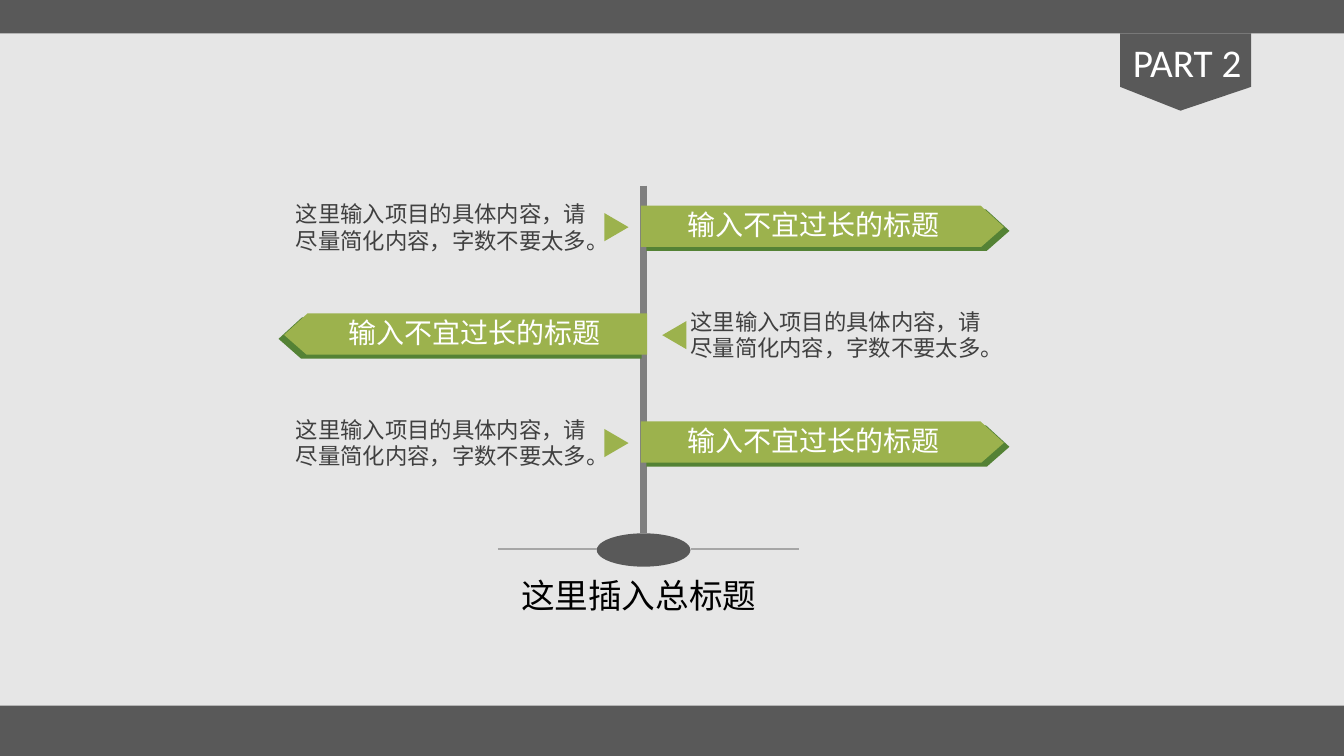
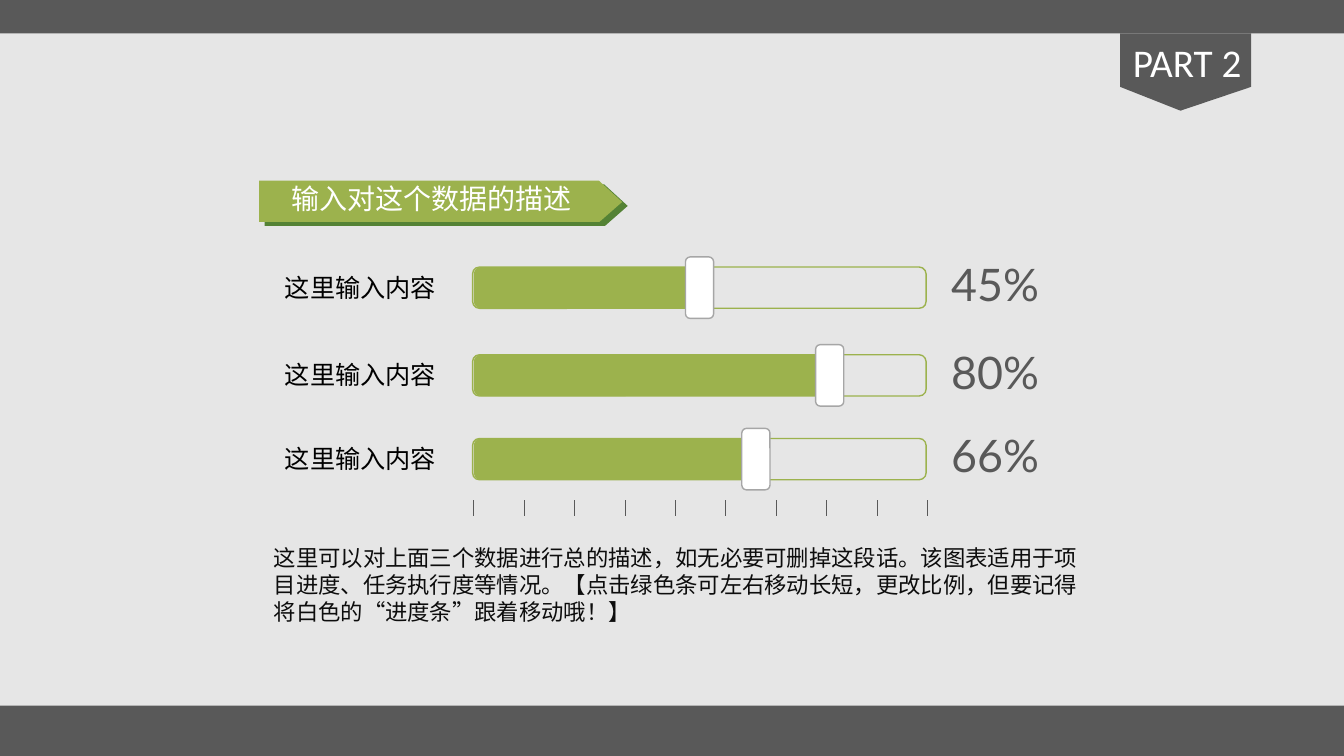
from lxml.etree import SubElement
from pptx import Presentation
from pptx.dml.color import RGBColor
from pptx.enum.shapes import MSO_CONNECTOR, MSO_SHAPE
from pptx.enum.text import PP_ALIGN
from pptx.oxml.ns import qn
from pptx.util import Cm, Pt

# All lengths are in centimetres.
PAGE_W, PAGE_H = 33.87, 19.05
COLOURS = {
    "paper": "E6E6E6", "band": "595959", "pole": "7F7F7F", "rule": "A6A6A6",
    "green": "9CB24D", "shade": "548235", "white": "FFFFFF",
    "black": "000000", "body": "404040", "note": "0D0D0D",
}
CJK = "Noto Sans CJK SC"

PART = "PART 2"
SIGN_HEADING = "输入不宜过长的标题"
SIGN_BODY = "这里输入项目的具体内容，请尽量简化内容，字数不要太多。"
SIGNS = [(side, SIGN_HEADING, SIGN_BODY) for side in ("right", "left", "right")]
SIGNPOST_TITLE = "这里插入总标题"

SLIDERS_TITLE = "输入对这个数据的描述"
# label, value, top of the bar, distance of the knob's centre from the bar's left
SLIDERS = [
    ("这里输入内容", "45%", 6.73, 5.69),
    ("这里输入内容", "80%", 8.94, 8.97),
    ("这里输入内容", "66%", 11.05, 7.11),
]
SLIDERS_NOTE = (
    "这里可以对上面三个数据进行总的描述，如无必要可删掉这段话。"
    "该图表适用于项目进度、任务执行度等情况。"
    "【点击绿色条可左右移动长短，更改比例，但要记得将白色的“进度条”跟着移动哦！】"
)

# Outlines, relative to their own corner
BADGE = [(0, 0), (3.3, 0), (3.3, 1.35), (1.52, 1.95), (0, 1.35)]
SIGN = [(0, 0), (8.56, 0), (9.15, 0.54), (8.58, 1.04), (0, 1.04)]
SHADE_X, SHADE_Y = 0.14, 0.1

# Each side: foot of the sign, direction, then left of heading, body and arrow
SIDES = {
    "right": dict(foot=16.15, way=1, heading=17.07, body=7.21, arrow=15.18, turn=90),
    "left": dict(foot=16.31, way=-1, heading=8.53, body=17.15, arrow=16.64, turn=270),
}
SIGN_TOP, SIGN_STEP = 5.18, 2.72

BAR_LEFT, BAR_W, BAR_H = 11.91, 11.43, 1.04
KNOB_W, KNOB_H = 0.71, 1.55
TICKS, TICK_TOP, TICK_H = 10, 12.6, 0.4


def colour(name):
    return RGBColor.from_string(COLOURS[name])


def paint(shape, fill=None, outline=None):
    shape.shadow.inherit = False
    if fill:
        shape.fill.solid()
        shape.fill.fore_color.rgb = colour(fill)
    else:
        shape.fill.background()
    if outline:
        shape.line.color.rgb = colour(outline)
        shape.line.width = Pt(1)
    else:
        shape.line.fill.background()


def add_box(page, kind, left, top, width, height, fill=None, outline=None):
    box = page.shapes.add_shape(kind, Cm(left), Cm(top), Cm(width), Cm(height))
    paint(box, fill, outline)
    return box


def add_outline(page, points, left, top, fill, way=1):
    """Draw a closed outline; way=-1 mirrors it about its left edge."""
    corners = [(Cm(left + way * x), Cm(top + y)) for x, y in points]
    builder = page.shapes.build_freeform(*corners[0])
    builder.add_line_segments(corners[1:], close=True)
    paint(builder.convert_to_shape(), fill)


def add_line(page, start, end, ink, width):
    ends = [Cm(value) for value in (*start, *end)]
    line = page.shapes.add_connector(MSO_CONNECTOR.STRAIGHT, *ends)
    line.line.color.rgb = colour(ink)
    line.line.width = Pt(width)
    SubElement(line._element.spPr, qn("a:effectLst"))


def add_text(page, text, left, top, width, height, *, size, ink, font=CJK,
             align=PP_ALIGN.LEFT):
    box = page.shapes.add_textbox(Cm(left), Cm(top), Cm(width), Cm(height))
    box.text_frame.word_wrap = True
    para = box.text_frame.paragraphs[0]
    para.alignment = align
    span = para.add_run()
    span.text = text
    span.font.size = Pt(size)
    span.font.color.rgb = colour(ink)
    span.font.name = font
    SubElement(span._r.get_or_add_rPr(), qn("a:ea"), typeface=font)


def add_sign(page, foot, top, way=1):
    add_outline(page, SIGN, foot + way * SHADE_X, top + SHADE_Y, "shade", way)
    add_outline(page, SIGN, foot, top, "green", way)


def add_page(deck):
    """Add a blank page with the bands and the part badge."""
    page = deck.slides.add_slide(deck.slide_layouts[6])
    page.background.fill.solid()
    page.background.fill.fore_color.rgb = colour("paper")
    for top, height in ((0, 0.84), (17.78, 1.27)):
        add_box(page, MSO_SHAPE.RECTANGLE, 0, top, PAGE_W, height, "band")
    add_outline(page, BADGE, 28.23, 0.84, "band")
    add_text(page, PART, 28.3, 0.84, 3.48, 1.45, size=28, ink="white", font="Calibri")
    return page


def build_signpost(deck):
    page = add_page(deck)
    add_box(page, MSO_SHAPE.OVAL, 15.04, 13.44, 2.36, 0.84, "band")
    add_line(page, (16.22, 4.68), (16.22, 13.44), "pole", 4.5)
    for row, (side, heading, body) in enumerate(SIGNS):
        top = SIGN_TOP + row * SIGN_STEP
        place = SIDES[side]
        add_sign(page, place["foot"], top, place["way"])
        add_text(page, heading, place["heading"], top - 0.08, 7.16, 1.12,
                 size=20, ink="white")
        add_text(page, body, place["body"], top - 0.27, 8.15, 1.63,
                 size=16, ink="body")
        arrow = add_box(page, MSO_SHAPE.ISOSCELES_TRIANGLE, place["arrow"],
                        top + 0.24, 0.71, 0.61, "green")
        arrow.rotation = place["turn"]
    for start, end in ((12.55, 15.04), (17.42, 20.14)):
        add_line(page, (start, 13.84), (end, 13.84), "rule", 1.5)
    add_text(page, SIGNPOST_TITLE, 12.12, 14.35, 7.95, 1.3,
             size=24, ink="black", align=PP_ALIGN.CENTER)


def build_sliders(deck):
    page = add_page(deck)
    pill = MSO_SHAPE.ROUNDED_RECTANGLE
    for label, value, top, reach in SLIDERS:
        add_box(page, pill, BAR_LEFT, top, BAR_W, BAR_H, outline="green")
        add_box(page, pill, BAR_LEFT + 0.03, top, reach, BAR_H, "green")
        add_box(page, pill, BAR_LEFT + reach - KNOB_W / 2 + 0.03,
                top - (KNOB_H - BAR_H) / 2, KNOB_W, KNOB_H, "white", "rule")
        add_text(page, label, 6.93, top, 4.6, 1.02, size=18, ink="black")
        add_text(page, value, 23.72, top - 0.39, 3.84, 1.63,
                 size=32, ink="band", font="Lato")
    for tick in range(TICKS):
        x = BAR_LEFT + 0.03 + tick * BAR_W / (TICKS - 1)
        add_line(page, (x, TICK_TOP), (x, TICK_TOP + TICK_H), "band", 0.5)
    add_text(page, SLIDERS_NOTE, 6.65, 13.59, 21.26, 2.31, size=16, ink="note")
    add_sign(page, 6.53, 4.55)
    add_text(page, SLIDERS_TITLE, 7.09, 4.45, 7.98, 1.12, size=20, ink="white")


def main():
    deck = Presentation()
    deck.slide_width, deck.slide_height = Cm(PAGE_W), Cm(PAGE_H)
    build_signpost(deck)
    build_sliders(deck)
    deck.save("out.pptx")


if __name__ == "__main__":
    main()
